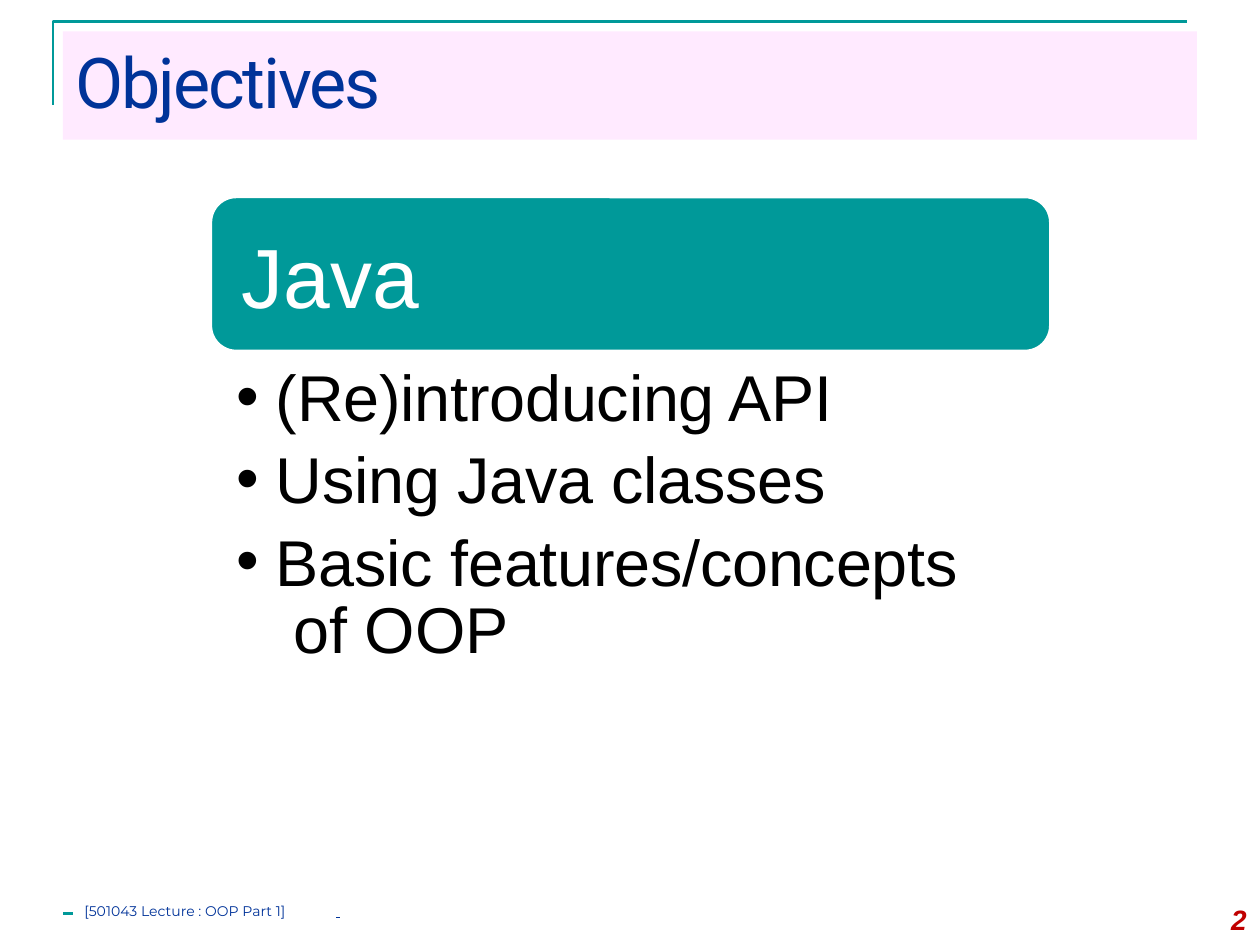
from dataclasses import dataclass
from typing import Optional

from lxml.etree import SubElement
from pptx import Presentation
from pptx.dml.color import RGBColor
from pptx.enum.shapes import MSO_CONNECTOR, MSO_SHAPE
from pptx.enum.text import MSO_ANCHOR, PP_ALIGN
from pptx.oxml.ns import qn
from pptx.util import Inches, Pt

TEAL, NAVY, PINK = "009999", "003399", "FFCCFF"
WHITE, BLACK, RED = "FFFFFF", "000000", "C00000"
RULE_WIDTH = Pt(1.56)


@dataclass
class Style:
    font: str
    size: float
    color: str
    bold: bool = False
    italic: bool = False
    tracking: float = 0


@dataclass
class Line:
    text: str
    style: Style
    before: float = 0
    spacing: Optional[float] = None
    indent: float = 0
    hanging: float = 0
    bullet: str = ""


def rgb(color: str) -> RGBColor:
    return RGBColor.from_string(color)


def style_run(run, style: Style) -> None:
    run.font.name = style.font
    run.font.size = Pt(style.size)
    run.font.color.rgb = rgb(style.color)
    run.font.bold = style.bold
    run.font.italic = style.italic
    if style.tracking:
        run._r.get_or_add_rPr().set("spc", str(round(style.tracking * 100)))


def add_tabs(paragraph, *stops: float) -> None:
    tabs = SubElement(paragraph._p.get_or_add_pPr(), qn("a:tabLst"))
    for stop in stops:
        SubElement(tabs, qn("a:tab"), pos=str(Inches(stop)), algn="l")


def write_line(paragraph, line: Line) -> None:
    paragraph.text = line.text
    paragraph.alignment = PP_ALIGN.LEFT
    paragraph.space_before = Pt(line.before)
    if line.spacing:
        paragraph.line_spacing = Pt(line.spacing)
    properties = paragraph._p.get_or_add_pPr()
    properties.set("marL", str(Inches(line.indent)))
    properties.set("indent", str(Inches(-line.hanging)))
    if line.bullet:
        SubElement(properties, qn("a:buFont"), typeface="Arial")
        SubElement(properties, qn("a:buChar"), char=line.bullet)
    for run in paragraph.runs:
        style_run(run, line.style)


def write(frame, lines: list[Line], top: float) -> None:
    frame.word_wrap = True
    frame.vertical_anchor = MSO_ANCHOR.TOP
    frame.margin_left = frame.margin_right = frame.margin_bottom = 0
    frame.margin_top = Inches(top)
    for index, line in enumerate(lines):
        paragraph = frame.add_paragraph() if index else frame.paragraphs[0]
        write_line(paragraph, line)


def add_text(slide, left: float, top: float, width: float, height: float,
             lines: list[Line], inset: float):
    box = slide.shapes.add_textbox(Inches(left), Inches(top), Inches(width), Inches(height))
    write(box.text_frame, lines, inset)
    return box.text_frame


def add_panel(slide, preset, left: float, top: float, width: float, height: float, color: str):
    panel = slide.shapes.add_shape(preset, Inches(left), Inches(top), Inches(width), Inches(height))
    panel.shadow.inherit = False
    panel.fill.solid()
    panel.fill.fore_color.rgb = rgb(color)
    panel.line.fill.background()
    return panel


def add_rules(slide) -> None:
    builder = slide.shapes.build_freeform(Inches(0.42), Inches(0.83))
    builder.add_line_segments(
        [(Inches(0.42), Inches(0.17)), (Inches(9.42), Inches(0.17))], close=False)
    corner = builder.convert_to_shape()
    corner.shadow.inherit = False
    corner.fill.background()
    dash = slide.shapes.add_connector(
        MSO_CONNECTOR.STRAIGHT, Inches(0.5), Inches(7.25), Inches(0.58), Inches(7.25))
    SubElement(dash._element.spPr, qn("a:effectLst"))
    for rule in (corner, dash):
        rule.line.color.rgb = rgb(TEAL)
        rule.line.width = RULE_WIDTH


def add_title(slide) -> None:
    title = add_panel(slide, MSO_SHAPE.RECTANGLE, 0.5, 0.25, 9, 0.86, PINK)
    tint = title._element.spPr.find(qn("a:solidFill")).find(qn("a:srgbClr"))
    SubElement(tint, qn("a:alpha"), val="40000")
    style = Style("Roboto", 40, NAVY, tracking=-1.2)
    write(title.text_frame, [Line("Objectives", style, indent=0.1)], 0.06)


def add_topic(slide) -> None:
    card = add_panel(slide, MSO_SHAPE.ROUNDED_RECTANGLE, 1.67, 1.56, 6.67, 1.23, TEAL)
    card.line.color.rgb = rgb(WHITE)
    card.line.width = Pt(2.04)
    heading = Style("Arial", 48, WHITE)
    body = Style("Arial", 37, BLACK, tracking=-0.1)
    bullet = {"style": body, "indent": 0.33, "hanging": 0.31, "bullet": "•"}
    add_text(slide, 1.86, 1.37, 5.79, 3.86, [
        Line("Java", heading, indent=0.06),
        Line("(Re)introducing API", before=18.2, **bullet),
        Line("Using Java classes", before=2.5, **bullet),
        Line("Basic features/concepts\v of OOP", before=8.8, spacing=38.3, **bullet),
    ], 0.41)


def add_footer(slide) -> None:
    style = Style("Montserrat", 8, NAVY)
    frame = add_text(slide, 0.66, 7.13, 8.89, 0.19,
                     [Line("[501043 Lecture : OOP Part 1]\t", style, indent=0.01)], 0.03)
    paragraph = frame.paragraphs[0]
    add_tabs(paragraph, 1.69, 8.87)
    underline = paragraph.add_run()
    underline.text = " \t"
    style_run(underline, style)
    underline.font.underline = True
    number = Style("Arial", 16, RED, bold=True, italic=True, tracking=-0.1)
    add_text(slide, 9.73, 7.15, 0.21, 0.28, [Line("2", number, indent=0.04)], 0.01)


def main() -> None:
    presentation = Presentation()
    presentation.slide_width = Inches(10)
    presentation.slide_height = Inches(7.5)
    slide = presentation.slides.add_slide(presentation.slide_layouts[6])
    add_rules(slide)
    add_title(slide)
    add_topic(slide)
    add_footer(slide)
    presentation.save("out.pptx")


if __name__ == "__main__":
    main()
